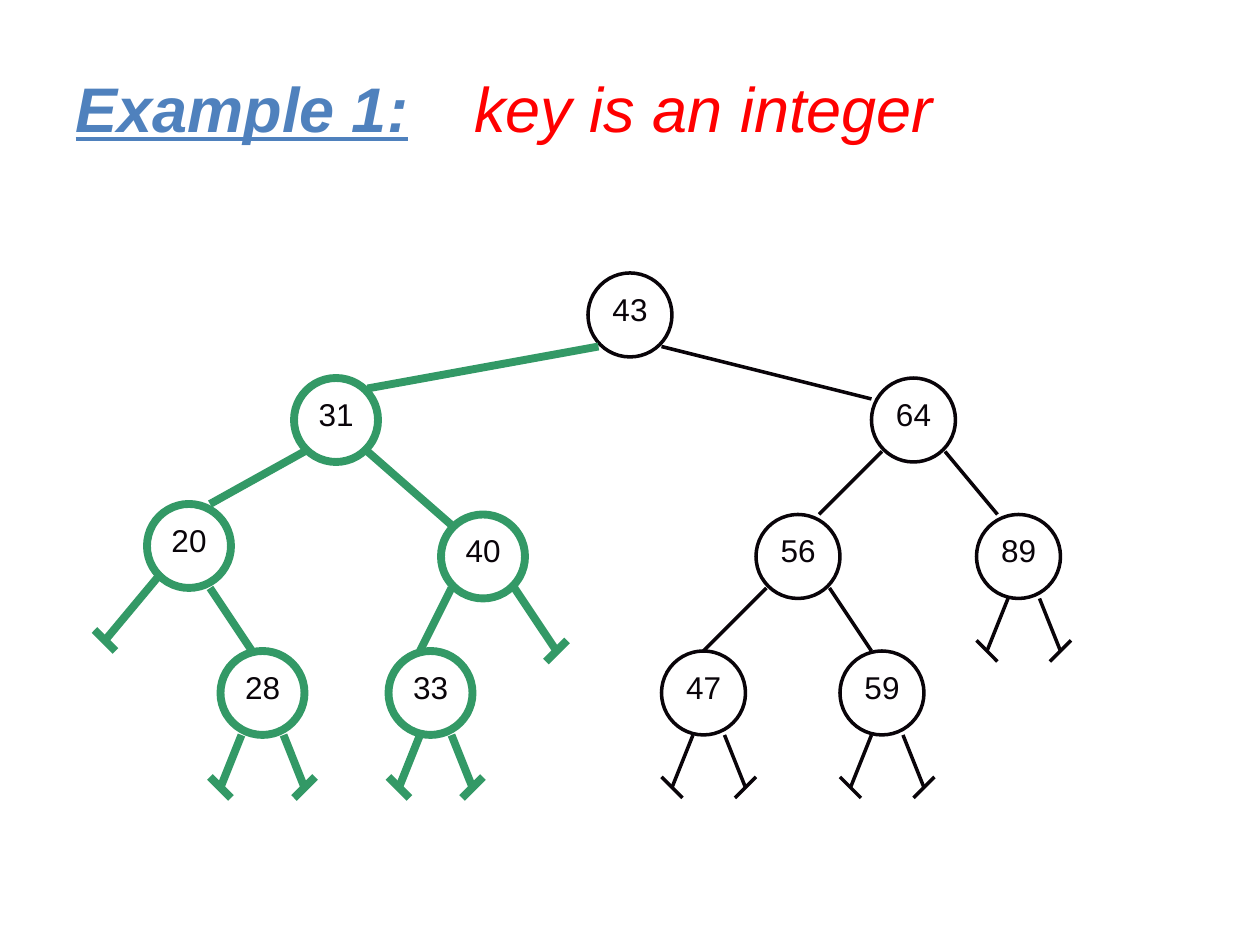
from pptx import Presentation
from pptx.dml.color import RGBColor
from pptx.enum.shapes import MSO_CONNECTOR, MSO_SHAPE
from pptx.enum.text import MSO_ANCHOR, PP_ALIGN
from pptx.util import Pt
from lxml.etree import SubElement
from pptx.oxml.ns import qn

GREEN, BLACK, BLUE, RED = "339966", "090409", "4F81BD", "FF0000"
LINE_WIDTHS = {GREEN: 4.5, BLACK: 2}
GRID, NODE_SIZE = 6, 8

# key, colour, left and top in grid units
NODES = [
    ("43", BLACK, 56, 26),
    ("31", GREEN, 28, 36), ("64", BLACK, 83, 36),
    ("20", GREEN, 14, 48), ("40", GREEN, 42, 49),
    ("56", BLACK, 72, 49), ("89", BLACK, 93, 49),
    ("28", GREEN, 21, 62), ("33", GREEN, 37, 62),
    ("47", BLACK, 63, 62), ("59", BLACK, 80, 62),
]
BRANCHES = [
    (GREEN, (57, 33), (35, 37)), (BLACK, (63, 33), (83, 38)),
    (GREEN, (29, 43), (20, 48)), (GREEN, (35, 43), (43, 50)),
    (BLACK, (84, 43), (78, 49)), (BLACK, (90, 43), (95, 49)),
    (GREEN, (20, 56), (24, 62)), (GREEN, (43, 56), (40, 62)),
    (BLACK, (73, 56), (67, 62)), (BLACK, (79, 56), (83, 62)),
]
EMPTY_BRANCHES = [
    (GREEN, (15, 55), (10, 61)), (GREEN, (49, 56), (53, 62)),
    (GREEN, (23, 70), (21, 75)), (GREEN, (27, 70), (29, 75)),
    (GREEN, (40, 70), (38, 75)), (GREEN, (43, 70), (45, 75)),
    (BLACK, (66, 70), (64, 75)), (BLACK, (69, 70), (71, 75)),
    (BLACK, (83, 70), (81, 75)), (BLACK, (86, 70), (88, 75)),
    (BLACK, (96, 57), (94, 62)), (BLACK, (99, 57), (101, 62)),
]


def color(value):
    """Turn a hex string into a colour."""
    return RGBColor.from_string(value)


def write(shape, text, size=18, fill=BLACK, align=PP_ALIGN.LEFT, **styles):
    """Write one formatted line of text at the top of a shape."""
    frame = shape.text_frame
    frame.word_wrap = True
    frame.vertical_anchor = MSO_ANCHOR.TOP
    paragraph = frame.paragraphs[0]
    paragraph.alignment = align
    run = paragraph.add_run()
    run.text = text
    run.font.name = "Arial"
    run.font.size = Pt(size)
    run.font.color.rgb = color(fill)
    for name, value in styles.items():
        setattr(run.font, name, value)


def style_line(shape, stroke):
    """Give an outline its colour and matching width."""
    shape.line.color.rgb = color(stroke)
    shape.line.width = Pt(LINE_WIDTHS[stroke])


def add_line(slide, stroke, start, end):
    """Draw a straight line between two grid points."""
    points = [Pt(GRID * value) for value in (*start, *end)]
    connector = slide.shapes.add_connector(MSO_CONNECTOR.STRAIGHT, *points)
    style_line(connector, stroke)
    SubElement(connector._element.spPr, qn("a:effectLst"))


def add_node(slide, key, stroke, left, top):
    """Draw a tree node and its key."""
    x, y, size = (Pt(GRID * value) for value in (left, top, NODE_SIZE))
    label = slide.shapes.add_textbox(x, y + Pt(GRID), size, Pt(36))
    write(label, key, align=PP_ALIGN.CENTER)
    circle = slide.shapes.add_shape(MSO_SHAPE.OVAL, x, y, size, size)
    circle.shadow.inherit = False
    circle.fill.background()
    style_line(circle, stroke)


def add_empty_branch(slide, stroke, start, end):
    """Draw a branch that stops at a diagonal end bar."""
    add_line(slide, stroke, start, end)
    x, y = end
    slope = 1 if x < start[0] else -1
    add_line(slide, stroke, (x - 1, y - slope), (x + 1, y + slope))


def main():
    """Build the binary search tree slide."""
    presentation = Presentation()
    presentation.slide_width, presentation.slide_height = Pt(720), Pt(540)
    slide = presentation.slides.add_slide(presentation.slide_layouts[5])

    title = slide.shapes.title
    title.left, title.top, title.width, title.height = Pt(36), Pt(36), Pt(312), Pt(50.4)
    write(title, "Example 1:", size=36, fill=BLUE, bold=True, italic=True, underline=True)
    subtitle = slide.shapes.add_textbox(Pt(264), Pt(36), Pt(300), Pt(50.4))
    write(subtitle, "key is an integer", size=36, fill=RED, italic=True)

    for node in NODES:
        add_node(slide, *node)
    for branch in BRANCHES:
        add_line(slide, *branch)
    for branch in EMPTY_BRANCHES:
        add_empty_branch(slide, *branch)
    presentation.save("out.pptx")


if __name__ == "__main__":
    main()
